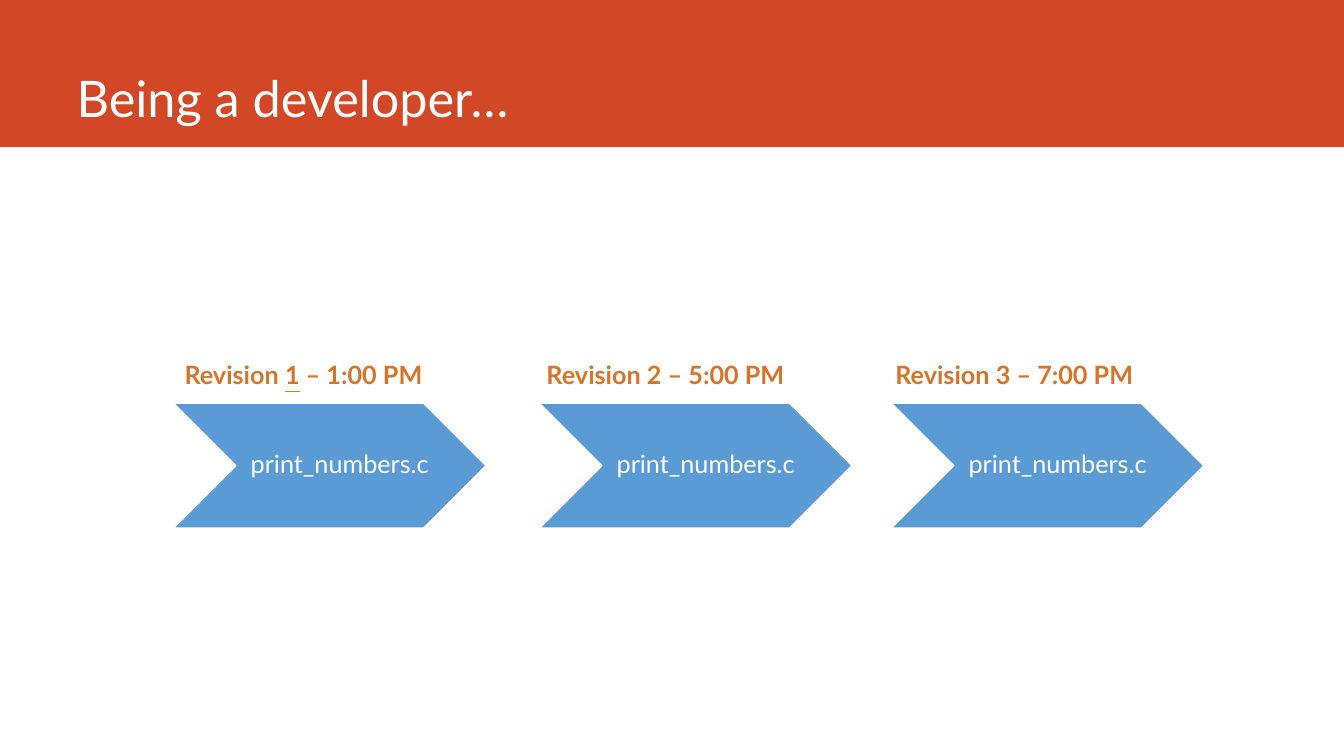
from pptx import Presentation
from pptx import util as u
from pptx.dml.color import RGBColor
from pptx.enum import shapes, text

WHITE = RGBColor(0xFF, 0xFF, 0xFF)
RED = RGBColor(0xD2, 0x47, 0x26)
BLUE = RGBColor(0x5B, 0x9B, 0xD5)
ORANGE = RGBColor(0xD6, 0x74, 0x2A)


class RevisionSlide:
    """Holds the style and the current slide, with a method for each element."""

    font_name = "Lato"

    def __init__(self, deck):
        self.slide = deck.slides.add_slide(deck.slide_layouts[5])

    def style(self, font, size, color, bold=False):
        font.name = self.font_name
        font.size = u.Pt(size)
        font.color.rgb = color
        font.bold = bold

    def title(self, wording):
        heading = self.slide.shapes.title
        heading.left, heading.top = u.Inches(0.66), u.Inches(0)
        heading.width, heading.height = u.Inches(11.76), u.Inches(1.32)
        frame = heading.text_frame
        frame.text = wording
        frame.auto_size = text.MSO_AUTO_SIZE.NONE
        frame.vertical_anchor = text.MSO_ANCHOR.BOTTOM
        frame.paragraphs[0].alignment = text.PP_ALIGN.LEFT
        self.style(frame.paragraphs[0].runs[0].font, 36, WHITE)

    def band(self, width, height):
        banner = self.slide.shapes.add_shape(
            shapes.MSO_SHAPE.RECTANGLE, 0, 0, u.Inches(width), u.Inches(height))
        banner.shadow.inherit = False
        banner.fill.solid()
        banner.fill.fore_color.rgb = RED
        banner.line.fill.background()
        self.slide.shapes._spTree.insert(2, banner._element)

    def step(self, left, file_name):
        group = self.slide.shapes.add_group_shape()
        top, height = u.Inches(4), u.Inches(1.24)
        arrow = group.shapes.add_shape(
            shapes.MSO_SHAPE.CHEVRON, u.Inches(left), top, u.Inches(3.1), height)
        arrow.shadow.inherit = False
        arrow.fill.solid()
        arrow.fill.fore_color.rgb = BLUE
        arrow.line.color.rgb = WHITE
        arrow.line.width = u.Pt(1)
        caption = group.shapes.add_textbox(
            u.Inches(left + 0.4), top, u.Inches(2.31), height)
        frame = caption.text_frame
        frame.text = file_name
        frame.word_wrap = True
        frame.vertical_anchor = text.MSO_ANCHOR.MIDDLE
        frame.margin_left = u.Inches(0.28)
        frame.margin_right = frame.margin_top = frame.margin_bottom = u.Inches(0.09)
        line = frame.paragraphs[0]
        line.alignment = text.PP_ALIGN.CENTER
        line.line_spacing = 0.9
        self.style(line.runs[0].font, 18, WHITE)

    def label(self, left, pieces, underlined=None):
        box = self.slide.shapes.add_textbox(
            u.Inches(left), u.Inches(3.52), u.Inches(2.7), u.Inches(0.4))
        frame = box.text_frame
        frame.word_wrap = True
        frame.auto_size = text.MSO_AUTO_SIZE.SHAPE_TO_FIT_TEXT
        line = frame.paragraphs[0]
        line.alignment = text.PP_ALIGN.CENTER
        for piece in pieces:
            run = line.add_run()
            run.text = piece
            self.style(run.font, 18, ORANGE, bold=True)
            run.font.underline = piece == underlined


def main():
    deck = Presentation()
    deck.slide_width, deck.slide_height = u.Inches(13.33), u.Inches(7.5)
    page = RevisionSlide(deck)
    page.title("Being a developer…")
    page.band(13.33, 1.46)
    for left in (1.72, 5.35, 8.84):
        page.step(left, "print_numbers.c")
    page.label(1.66, ["Revision ", "1", " – 1:00 PM"], underlined="1")
    page.label(5.25, ["Revision 2 – 5:00 PM"])
    page.label(8.71, ["Revision 3 – 7:00 PM"])
    deck.save("out.pptx")


if __name__ == "__main__":
    main()
